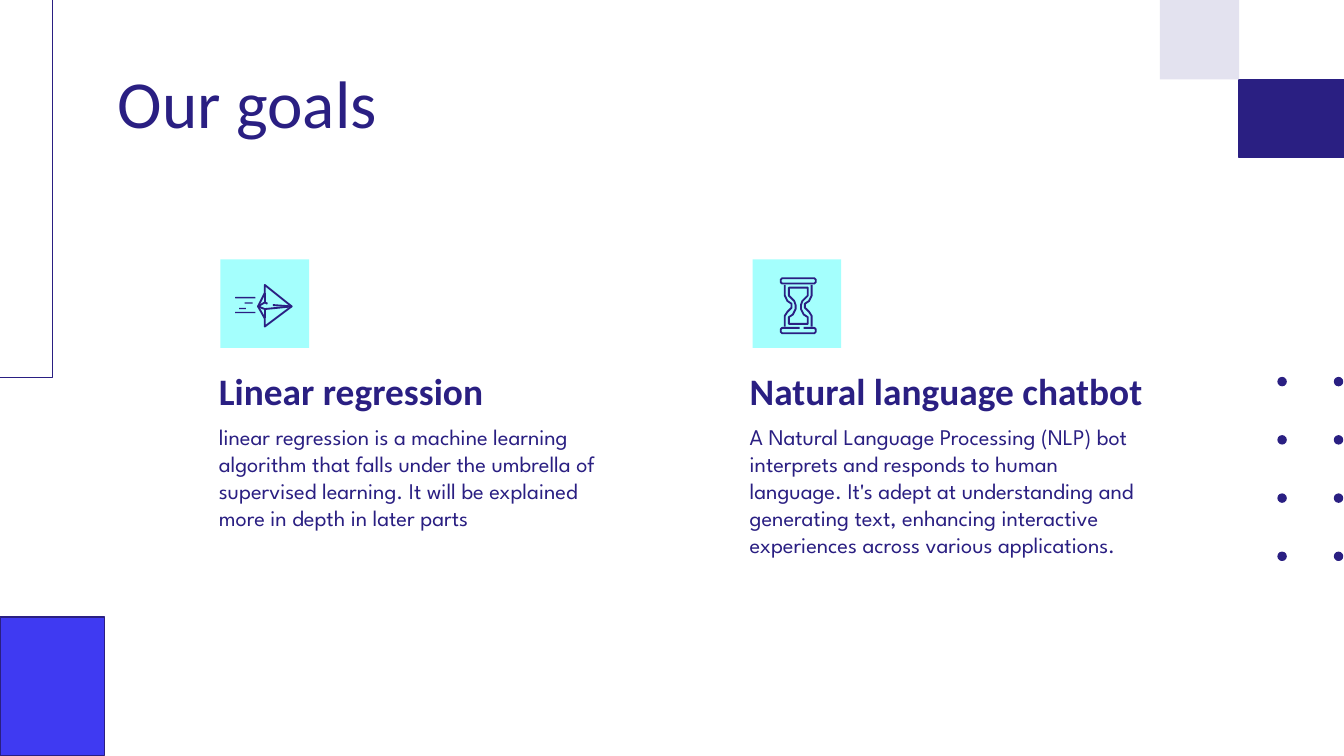
from itertools import product

from pptx import Presentation
from pptx.dml.color import RGBColor
from pptx.enum.shapes import MSO_SHAPE as Shape
from pptx.enum.text import MSO_ANCHOR as Anchor
from pptx.util import Inches, Pt

COLORS = {
    "navy": "2A1F82",
    "blue": "3F3AF2",
    "lavender": "E3E2EF",
    "aqua": "A4FFFD",
}
HEADING_FONT = "Calibri"
BODY_FONT = "League Spartan"

GOALS = [
    (1.53, 3.22, "Linear regression",
     "linear regression is a machine learning algorithm that falls under the "
     "umbrella of supervised learning. It will be explained more in depth in "
     "later parts"),
    (5.48, 3.64, "Natural language chatbot",
     "A Natural Language Processing (NLP) bot interprets and responds to human "
     "language. It's adept at understanding and generating text, enhancing "
     "interactive experiences across various applications."),
]


def color(name):
    return RGBColor.from_string(COLORS[name])


def style_shape(shape, fill=None, line=None, width=0.75):
    shape.shadow.inherit = False
    if fill:
        shape.fill.solid()
        shape.fill.fore_color.rgb = color(fill)
    else:
        shape.fill.background()
    if line:
        shape.line.color.rgb = color(line)
        shape.line.width = Pt(width)
    else:
        shape.line.fill.background()


def add_block(page, left, top, width, height, fill=None, line=None,
              kind=Shape.RECTANGLE):
    shape = page.shapes.add_shape(kind, Inches(left), Inches(top),
                                  Inches(width), Inches(height))
    style_shape(shape, fill, line)


def add_text(page, left, top, width, height, text, size, font,
             bold=False, anchor=Anchor.TOP):
    box = page.shapes.add_textbox(Inches(left), Inches(top),
                                  Inches(width), Inches(height))
    frame = box.text_frame
    frame.word_wrap = True
    frame.vertical_anchor = anchor
    frame.margin_left = frame.margin_right = Inches(0.1)
    frame.margin_top = frame.margin_bottom = Inches(0.1)
    frame.text = text
    span = frame.paragraphs[0].runs[0]
    span.font.size = Pt(size)
    span.font.name = font
    span.font.bold = bold
    span.font.color.rgb = color("navy")


def add_strokes(page, strokes):
    """Draw (points, closed) strokes, in inches, as one outline."""
    builder = None
    for points, closed in strokes:
        start, *rest = [(Inches(x), Inches(y)) for x, y in points]
        if builder is None:
            builder = page.shapes.build_freeform(*start, scale=1.0)
        else:
            builder.move_to(*start)
        builder.add_line_segments(rest, close=closed)
    style_shape(builder.convert_to_shape(), line="navy", width=1)


def add_plane_icon(page):
    speed_lines = [(1.75, 2.21, 0.15), (1.82, 2.25, 0.06),
                   (1.78, 2.29, 0.05), (1.75, 2.32, 0.15)]
    for left, top, width in speed_lines:
        add_block(page, left, top, width, 0.01, "navy",
                  kind=Shape.ROUNDED_RECTANGLE)
    tail, nose, fold = (1.92, 2.28), (2.17, 2.28), 1.97
    add_strokes(page, [
        ([tail, (fold, 2.18), (fold, 2.12), nose, (fold, 2.43),
          (fold, 2.37)], True),
        ([(fold, 2.18), (fold, 2.25)], False),
        ([(fold, 2.3), (fold, 2.37)], False),
        ([nose, (fold, 2.3), tail, (fold, 2.25), (1.99, 2.26)], False),
        ([(2.03, 2.27), nose], False),
    ])


def add_hourglass_icon(page):
    center = 5.94

    def side(profile, sign):
        return [(center + sign * offset, y) for offset, y in profile]

    glass = [(0.1, 2.12), (0.1, 2.2), (0.08, 2.24), (0.05, 2.26),
             (0.05, 2.29), (0.08, 2.32), (0.1, 2.35), (0.1, 2.43)]
    sand = [(0.07, 2.14), (0.07, 2.2), (0.03, 2.24), (0.02, 2.27),
            (0.02, 2.3), (0.04, 2.34), (0.07, 2.36), (0.07, 2.41)]
    cap = [(0.12, 2.07), (0.13, 2.08), (0.13, 2.1), (0.12, 2.11)]
    base = [(0.12, 2.44), (0.13, 2.45), (0.13, 2.47), (0.12, 2.48)]
    gap_right, gap_left = (5.98, 2.44), (5.95, 2.44)
    add_strokes(page, [
        (side(cap, 1) + side(cap[::-1], -1), True),
        (side(glass, 1), False),
        (side(glass, -1), False),
        ([gap_right] + side(base, 1) + side(base[::-1], -1) + [gap_left],
         False),
    ])
    add_strokes(page, [(side(sand, 1) + side(sand[::-1], -1), True)])


def add_decoration(page):
    add_block(page, 0, 4.59, 0.78, 1.03, "blue", "navy")
    add_block(page, 9.22, 0.59, 0.78, 0.58, "navy", "navy")
    add_block(page, 8.63, 0, 0.59, 0.59, "lavender")
    add_block(page, -0.06, -0.1, 0.45, 2.91, line="navy")
    for column, row in product(range(2), range(4)):
        add_block(page, 9.51 + 0.42 * column, 2.81 + 1.3 / 3 * row,
                  0.06, 0.06, "navy", "navy", Shape.OVAL)


def add_goal(page, left, heading_width, heading, body):
    add_text(page, left, 2.8, heading_width, 0.37, heading, 20, HEADING_FONT,
             bold=True, anchor=Anchor.BOTTOM)
    add_text(page, left, 3.05, 3.22, 1.42, body, 12, BODY_FONT)


def main():
    deck = Presentation()
    deck.slide_width = Inches(10)
    deck.slide_height = deck.slide_width * 9 // 16
    page = deck.slides.add_slide(deck.slide_layouts[6])
    add_decoration(page)
    add_text(page, 0.78, 0.36, 8.43, 0.62, "Our goals", 36, HEADING_FONT)
    for goal in GOALS:
        add_goal(page, *goal)
    for left in (1.64, 5.6):
        add_block(page, left, 1.93, 0.66, 0.66, "aqua")
    add_plane_icon(page)
    add_hourglass_icon(page)
    deck.save("out.pptx")


if __name__ == "__main__":
    main()
